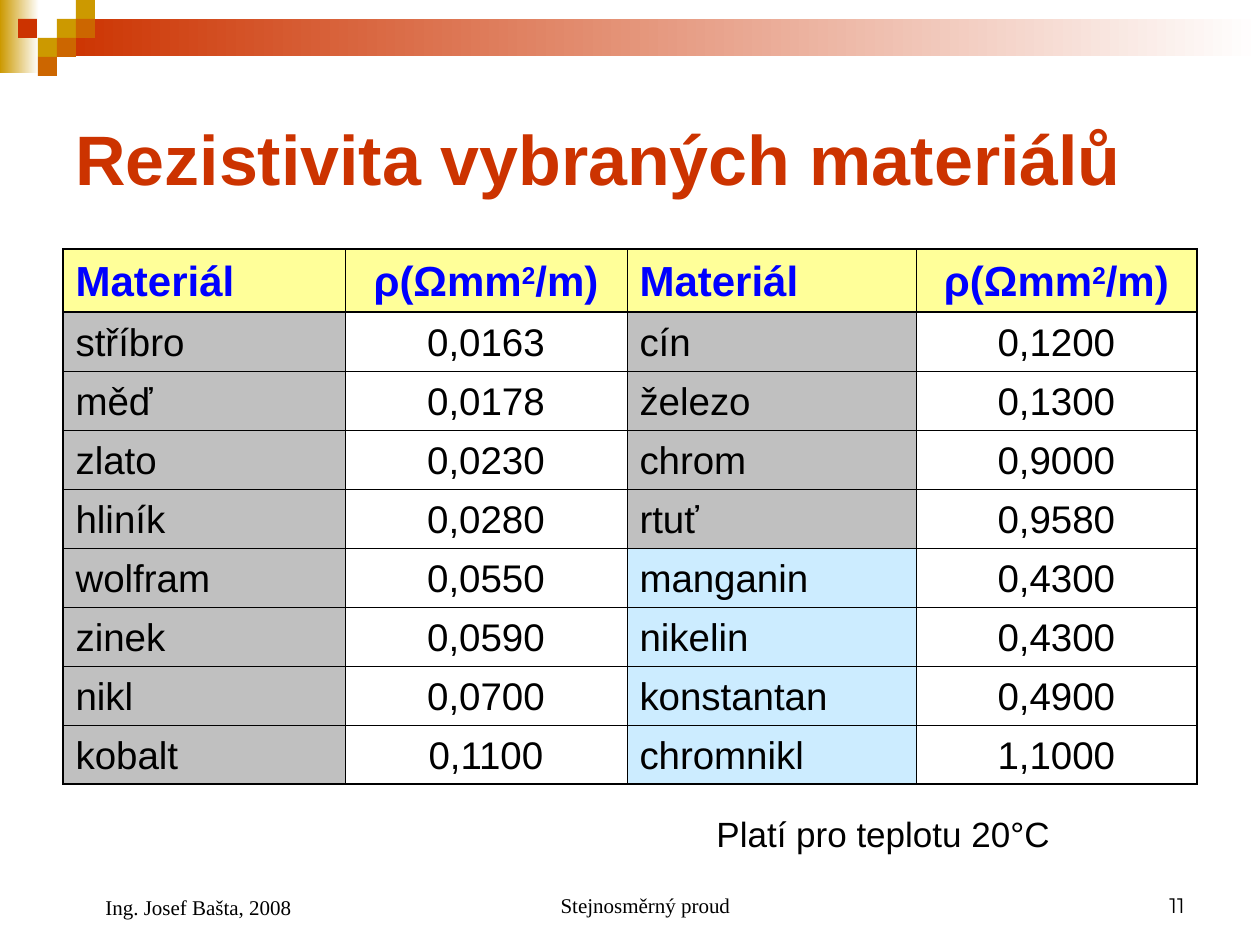
"""Build the slide with the resistivity table of selected materials."""
from dataclasses import dataclass

from lxml import etree
from pptx import Presentation
from pptx.dml.color import RGBColor
from pptx.enum.shapes import MSO_SHAPE
from pptx.enum.text import MSO_ANCHOR, PP_ALIGN
from pptx.oxml.ns import qn
from pptx.util import Pt

RECTANGLE = MSO_SHAPE.RECTANGLE
TOP, MIDDLE, BOTTOM = MSO_ANCHOR.TOP, MSO_ANCHOR.MIDDLE, MSO_ANCHOR.BOTTOM
LEFT, CENTER, RIGHT = PP_ALIGN.LEFT, PP_ALIGN.CENTER, PP_ALIGN.RIGHT

EMU_PER_PX = 914400 / 126
SQUARE = 19


def px(length):
    return round(length * EMU_PER_PX)


@dataclass(frozen=True)
class Theme:
    red: str = "CC3300"
    gold: str = "CC9900"
    orange: str = "CC6600"
    white: str = "FFFFFF"
    black: str = "000000"
    blue: str = "0000FF"
    yellow: str = "FFFF99"
    metal: str = "C0C0C0"
    alloy: str = "CCECFF"
    sans: str = "Arial"
    serif: str = "Times New Roman"
    number: str = "Montserrat"
    title_size: int = 40
    header_size: int = 24
    body_size: int = 22
    note_size: int = 20
    footer_size: int = 12
    inner_line: float = 0.45
    outer_line: float = 0.96


class SlideBuilder:
    def __init__(self, slide, theme):
        self.slide = slide
        self.theme = theme

    def apply(self, target, values):
        for name, value in values.items():
            setattr(target, name, value)

    def rectangle(self, box, colour, fading=False):
        block = self.slide.shapes.add_shape(RECTANGLE, *map(px, box))
        block.shadow.inherit = False
        block.line.fill.background()
        if fading:
            block.fill.gradient()
            block.fill.gradient_angle = 180
            for stop, shade in zip(block.fill.gradient_stops, (self.theme.white, colour)):
                stop.color.rgb = RGBColor.from_string(shade)
        else:
            block.fill.solid()
            block.fill.fore_color.rgb = RGBColor.from_string(colour)

    def add_runs(self, paragraph, text, size, font=None, colour=None, bold=False, align=LEFT):
        paragraph.alignment = align
        base, *raised = text.split("^")
        pieces = [(base, False)]
        for part in raised:
            pieces += [(part[0], True), (part[1:], False)]
        for words, superscript in pieces:
            run = paragraph.add_run()
            run.text = words
            self.apply(run.font, {"size": Pt(size), "name": font or self.theme.sans, "bold": bold})
            run.font.color.rgb = RGBColor.from_string(colour or self.theme.black)
            if superscript:
                run.font._element.set("baseline", "30000")

    def text(self, box, text, size, anchor=BOTTOM, indent=0, **style):
        frame = self.slide.shapes.add_textbox(*map(px, box)).text_frame
        self.apply(frame, {"word_wrap": True, "vertical_anchor": anchor})
        paragraph = frame.paragraphs[0]
        if indent:
            paragraph._p.get_or_add_pPr().set("marL", str(px(indent)))
        self.add_runs(paragraph, text, size, **style)

    def border(self, cell, side, width):
        line = etree.SubElement(cell._tc.get_or_add_tcPr(), qn(f"a:ln{side}"), w=str(Pt(width)))
        fill = etree.SubElement(line, qn("a:solidFill"))
        etree.SubElement(fill, qn("a:srgbClr"), val=self.theme.black)

    def table(self, corner, widths, heights, rows, fill_of):
        theme = self.theme
        size = (sum(widths), sum(heights))
        table = self.slide.shapes.add_table(
            len(rows), len(widths), *map(px, (*corner, *size))).table
        self.apply(table, {"first_row": False, "horz_banding": False})
        for column, width in zip(table.columns, widths):
            column.width = px(width)
        for row, height in zip(table.rows, heights):
            row.height = px(height)
        header = {"size": theme.header_size, "colour": theme.blue, "bold": True}
        body = {"size": theme.body_size}
        last_row, last_column = len(rows) - 1, len(widths) - 1
        for r, words in enumerate(rows):
            for c, word in enumerate(words):
                cell = table.cell(r, c)
                heavy = {"L": c == 0, "R": c == last_column,
                         "T": r < 2, "B": r in (0, last_row)}
                for side, is_heavy in heavy.items():
                    self.border(cell, side, theme.outer_line if is_heavy else theme.inner_line)
                cell.fill.solid()
                cell.fill.fore_color.rgb = RGBColor.from_string(fill_of(r, c))
                cell.vertical_anchor = BOTTOM
                self.add_runs(cell.text_frame.paragraphs[0], word,
                              align=CENTER if c % 2 else LEFT, **(body if r else header))


def main():
    theme = Theme()
    deck = Presentation()
    deck.slide_width, deck.slide_height = px(1260), px(945)
    builder = SlideBuilder(deck.slides.add_slide(deck.slide_layouts[6]), theme)

    builder.rectangle((0, 0, 39, 73), theme.gold, fading=True)
    builder.rectangle((57, 19, 1203, 37), theme.red, fading=True)
    mosaic = [
        (57, 19, theme.gold), (76, 0, theme.gold), (76, 19, theme.orange),
        (38, 38, theme.gold), (18, 19, theme.red), (57, 38, theme.orange),
        (38, 57, theme.orange),
    ]
    for left, top, colour in mosaic:
        builder.rectangle((left, top, SQUARE, SQUARE), colour)

    builder.text((63, 63, 1134, 189), "Rezistivita vybraných materiálů", theme.title_size,
                 anchor=MIDDLE, colour=theme.red, bold=True)

    headings = ("Materiál", "ρ(Ωmm^2/m)") * 2
    materials = [
        ("stříbro", "0,0163", "cín", "0,1200"),
        ("měď", "0,0178", "železo", "0,1300"),
        ("zlato", "0,0230", "chrom", "0,9000"),
        ("hliník", "0,0280", "rtuť", "0,9580"),
        ("wolfram", "0,0550", "manganin", "0,4300"),
        ("zinek", "0,0590", "nikelin", "0,4300"),
        ("nikl", "0,0700", "konstantan", "0,4900"),
        ("kobalt", "0,1100", "chromnikl", "1,1000"),
    ]
    first_alloy_row = 5

    def fill_of(row, column):
        if row == 0:
            return theme.yellow
        if column % 2:
            return theme.white
        return theme.alloy if column == 2 and row >= first_alloy_row else theme.metal

    builder.table((63, 249), (282, 282, 289, 281), [63] + [59] * len(materials),
                  [headings, *materials], fill_of)

    builder.text((704, 806, 432, 55), "Platí pro teplotu 20°C", theme.note_size, anchor=TOP)
    builder.text((431, 861, 399, 63), "Stejnosměrný proud", theme.footer_size,
                 indent=30, font=theme.serif, align=CENTER)
    builder.text((903, 861, 294, 63), "11", theme.footer_size, font=theme.number, align=RIGHT)
    builder.text((63, 861, 294, 65), "Ing. Josef Bašta, 2008", theme.footer_size,
                 indent=30, font=theme.serif)

    deck.save("out.pptx")


if __name__ == "__main__":
    main()
